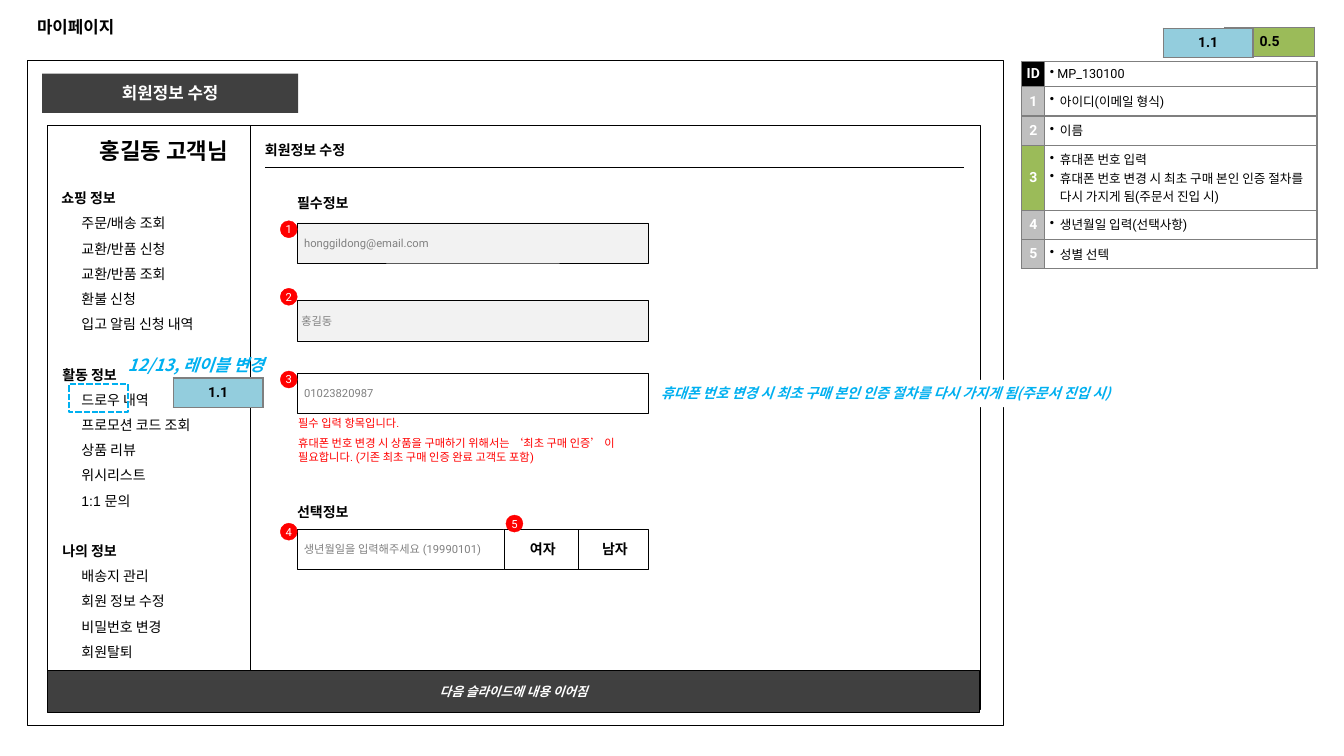
from lxml.etree import SubElement
from pptx import Presentation
from pptx.dml.color import RGBColor
from pptx.enum.dml import MSO_LINE_DASH_STYLE as DASH
from pptx.enum.shapes import MSO_CONNECTOR, MSO_SHAPE as SHAPE
from pptx.enum.text import MSO_ANCHOR as ANCHOR, MSO_AUTO_SIZE as AUTO, PP_ALIGN as ALIGN
from pptx.oxml.ns import qn
from pptx.util import Pt

BLACK, WHITE = RGBColor(0, 0, 0), RGBColor(255, 255, 255)
DARK, GREY = RGBColor(0x40, 0x40, 0x40), RGBColor(0x80, 0x80, 0x80)
SILVER, PALE = RGBColor(0xBF, 0xBF, 0xBF), RGBColor(0xF2, 0xF2, 0xF2)
RED, SKY = RGBColor(255, 0, 0), RGBColor(0, 0xB0, 0xF0)
GREEN, AQUA = RGBColor(0x9B, 0xBB, 0x59), RGBColor(0x93, 0xCD, 0xDD)
BORDER = "7F7F7F"
KOREAN = "Noto Sans CJK KR"

MENU = [
    ("쇼핑 정보", ["주문/배송 조회", "교환/반품 신청", "교환/반품 조회", "환불 신청",
               "입고 알림 신청 내역"]),
    ("활동 정보", ["드로우 내역", "프로모션 코드 조회", "상품 리뷰", "위시리스트", "1:1 문의"]),
    ("나의 정보", ["배송지 관리", "회원 정보 수정", "비밀번호 변경", "회원탈퇴"]),
]
# key, key fill, notes, row height
SPEC = [
    ("ID", BLACK, [" MP_130100"], 18),
    ("1", SILVER, ["아이디(이메일 형식)"], 20.9),
    ("2", SILVER, ["이름"], 20.9),
    ("3", GREEN, ["휴대폰 번호 입력",
                  "휴대폰 번호 변경 시 최초 구매 본인 인증 절차를 다시 가지게 됨(주문서 진입 시)"], 46.5),
    ("4", SILVER, ["생년월일 입력(선택사항)"], 20.9),
    ("5", SILVER, ["성별 선텍"], 20.9),
]
# text, left, top, width, fill, format
HINT = dict(size=8, color=GREY)
CHOICE = dict(size=10, bold=True, align=ALIGN.CENTER)
FIELDS = [
    (" honggildong@email.com", 212.4, 159.1, 250.6, PALE, HINT),
    ("홍길동", 212.4, 214.6, 250.6, PALE, HINT),
    (" 01023820987", 212.4, 266.4, 250.6, None, HINT),
    (" 생년월일을 입력해주세요 (19990101)", 212.4, 378, 147.6, WHITE, HINT),
    (" 여자", 360, 378, 53.3, WHITE, CHOICE),
    (" 남자", 413.3, 378, 49.7, WHITE, CHOICE),
]
BADGES = [(200.2, 157.7), (200.2, 205.9), (200.2, 265), (200.2, 373.7), (361.4, 367.9)]
GROUPS = [("필수정보", 135.4), ("선택정보", 356.4)]
ERRORS = [
    ("필수 입력 항목입니다.", 294.5, 103.7),
    ("휴대폰 번호 변경 시 상품을 구매하기 위해서는 ‘최초 구매 인증’ 이 필요합니다. "
     "(기존 최초 구매 인증 완료 고객도 포함)", 308.9, 258.5),
]
CHANGE_NOTE = "휴대폰 번호 변경 시 최초 구매 본인 인증 절차를 다시 가지게 됨(주문서 진입 시)"

prs = Presentation()
prs.slide_width, prs.slide_height = Pt(960), Pt(540)
s = prs.slides.add_slide(prs.slide_layouts[6])


def write(p, text, size=10, font="Roboto", color=BLACK, bold=False, italic=False,
          align=ALIGN.LEFT, leading=None, before=0, indent=None, hanging=0, bullet=False):
    """Put one formatted run into paragraph p."""
    p.alignment = align
    if leading:
        p.line_spacing = Pt(leading)
    if before:
        p.space_before = Pt(before)
    pPr = p._p.get_or_add_pPr()
    if indent is not None:
        pPr.set("marL", str(Pt(indent)))
        pPr.set("indent", str(Pt(-hanging)))
    if bullet:
        SubElement(pPr, qn("a:buChar"), char="•")
    r = p.add_run()
    r.text = text
    f = r.font
    f.size, f.bold, f.italic, f.name = Pt(size), bold, italic, font
    f.color.rgb = color
    SubElement(r._r.get_or_add_rPr(), qn("a:ea"), typeface=KOREAN)


def frame_text(tf, inset=(7.2, 3.6), anchor=ANCHOR.MIDDLE, wrap=True):
    tf.word_wrap = wrap
    tf.auto_size = AUTO.NONE if wrap else AUTO.SHAPE_TO_FIT_TEXT
    tf.margin_left = tf.margin_right = Pt(inset[0])
    tf.margin_top = tf.margin_bottom = Pt(inset[1])
    tf.vertical_anchor = anchor
    return tf


def box(x, y, w, h, text=None, kind=SHAPE.RECTANGLE, fill=None, line=None, weight=0.25,
        inset=(2.83, 2.83), anchor=ANCHOR.MIDDLE, **fmt):
    sp = s.shapes.add_shape(kind, Pt(x), Pt(y), Pt(w), Pt(h))
    sp.shadow.inherit = False
    for part, color in ((sp.fill, fill), (sp.line.fill, line)):
        if color is None:
            part.background()
        else:
            part.solid()
            part.fore_color.rgb = color
    if line is not None:
        sp.line.width = Pt(weight)
    if text:
        write(frame_text(sp.text_frame, inset, anchor).paragraphs[0], text, **fmt)
    return sp


def label(x, y, w, h, text, inset=(7.2, 3.6), anchor=ANCHOR.TOP, wrap=True, **fmt):
    tb = s.shapes.add_textbox(Pt(x), Pt(y), Pt(w), Pt(h))
    write(frame_text(tb.text_frame, inset, anchor, wrap).paragraphs[0], text, **fmt)


def table(x, y, widths, heights):
    t = s.shapes.add_table(len(heights), len(widths), Pt(x), Pt(y),
                           Pt(sum(widths)), Pt(sum(heights))).table
    t.first_row = t.horz_banding = False
    for col, w in zip(t.columns, widths):
        col.width = Pt(w)
    for row, h in zip(t.rows, heights):
        row.height = Pt(h)
    return t


def cell(c, lines, fill=None, margin=0, anchor=ANCHOR.MIDDLE, **fmt):
    """Fill one table cell, with grey borders on all sides."""
    c.margin_left = c.margin_right = c.margin_top = c.margin_bottom = Pt(margin)
    c.vertical_anchor = anchor
    for side in ("lnL", "lnR", "lnT", "lnB"):
        ln = SubElement(c._tc.get_or_add_tcPr(), qn("a:" + side), w=str(Pt(1)))
        SubElement(SubElement(ln, qn("a:solidFill")), qn("a:srgbClr"), val=BORDER)
    if fill is None:
        c.fill.background()
    else:
        c.fill.solid()
        c.fill.fore_color.rgb = fill
    tf = c.text_frame
    for i, text in enumerate(lines):
        write(tf.add_paragraph() if i else tf.paragraphs[0], text, **fmt)


def version_tag(x, y, text, fill):
    cell(table(x, y, [64.1], [20.9]).cell(0, 0), [text], fill, bold=True, align=ALIGN.CENTER)


# Page frame and panels
box(19.4, 43.2, 697.7, 475.2, line=BLACK, weight=0.75)
label(19.4, 5, 920.9, 28, "마이페이지", anchor=ANCHOR.MIDDLE, size=12, font="Arial", bold=True)
box(33.8, 89.3, 145.4, 417.6, fill=WHITE, line=BLACK)
box(30.2, 52.6, 182.9, 28, "회원정보 수정", fill=DARK, size=12, font="Arial", color=WHITE,
    bold=True, align=ALIGN.CENTER)

# Screen description
spec = table(729.8, 43.9, [16.5, 194.5], [row[3] for row in SPEC])
for i, (key, fill, notes, _) in enumerate(SPEC):
    hang = 7.2 if i else 0
    cell(spec.cell(i, 0), [key], fill, color=WHITE, bold=True, align=ALIGN.CENTER)
    cell(spec.cell(i, 1), notes, margin=3.6, anchor=ANCHOR.TOP, size=9, bullet=True,
         indent=hang, hanging=hang)

# Side menu
tb = s.shapes.add_textbox(Pt(36.7), Pt(126), Pt(141.8), Pt(340.6))
tf = frame_text(tb.text_frame, anchor=ANCHOR.TOP)
for i, (heading, items) in enumerate(MENU):
    write(tf.add_paragraph() if i else tf.paragraphs[0], heading, font="Arial", bold=True,
          leading=18, before=18 if i else 0, indent=0.7 if i else 0)
    for item in items:
        write(tf.add_paragraph(), item, font="Arial", leading=18, indent=14.4)
label(64.1, 95.8, 123.8, 23.8, "홍길동 고객님", size=16, font="Arial", bold=True, leading=18)

# Member form
box(178.6, 89.3, 521.3, 417.6, fill=WHITE, line=BLACK)
label(182.2, 92.2, 141.8, 23.8, "회원정보 수정", anchor=ANCHOR.MIDDLE, font="Arial", bold=True,
      leading=18)
rule = s.shapes.add_connector(MSO_CONNECTOR.STRAIGHT, Pt(189.4), Pt(119.5), Pt(688.3), Pt(119.5))
rule.line.color.rgb, rule.line.width = BLACK, Pt(0.75)
SubElement(rule._element.spPr, qn("a:effectLst"))
version_tag(874.8, 19.4, "0.5", GREEN)
for text, x, y, w, fill, fmt in FIELDS:
    box(x, y, w, 28.8, text, fill=fill, line=BLACK, **fmt)
for n, (x, y) in enumerate(BADGES, 1):
    box(x, y, 12.2, 12.2, str(n), kind=SHAPE.OVAL, fill=RED, line=RED, inset=(0, 0), size=8,
        color=WHITE, align=ALIGN.CENTER)
for text, y in GROUPS:
    label(205.2, y, 54.7, 19.4, text, wrap=False, font=KOREAN, bold=True)
for text, y, w in ERRORS:
    label(210.2, y, w, 20.2, text, inset=(2.83, 2.83), size=8, color=RED)
box(33.8, 478.8, 666, 30.2, "다음 슬라이드에 내용 이어짐", fill=DARK, line=BLACK, size=9,
    color=WHITE, bold=True, italic=True, align=ALIGN.CENTER)

# Change marks
REVISION = dict(font=KOREAN, color=SKY, bold=True, italic=True)
box(465.1, 271.4, 387.4, 19.4, CHANGE_NOTE, fill=WHITE, inset=(7.2, 3.6), anchor=ANCHOR.TOP,
    **REVISION)
version_tag(830.9, 20.2, "1.1", AQUA)
label(84.2, 249.8, 120.2, 21.6, "12/13, 레이블 변경", wrap=False, size=12, **REVISION)
box(49, 274.3, 42.5, 20.2, line=SKY, weight=1.5).line.dash_style = DASH.SQUARE_DOT
version_tag(123.8, 270, "1.1", AQUA)

prs.save("out.pptx")
